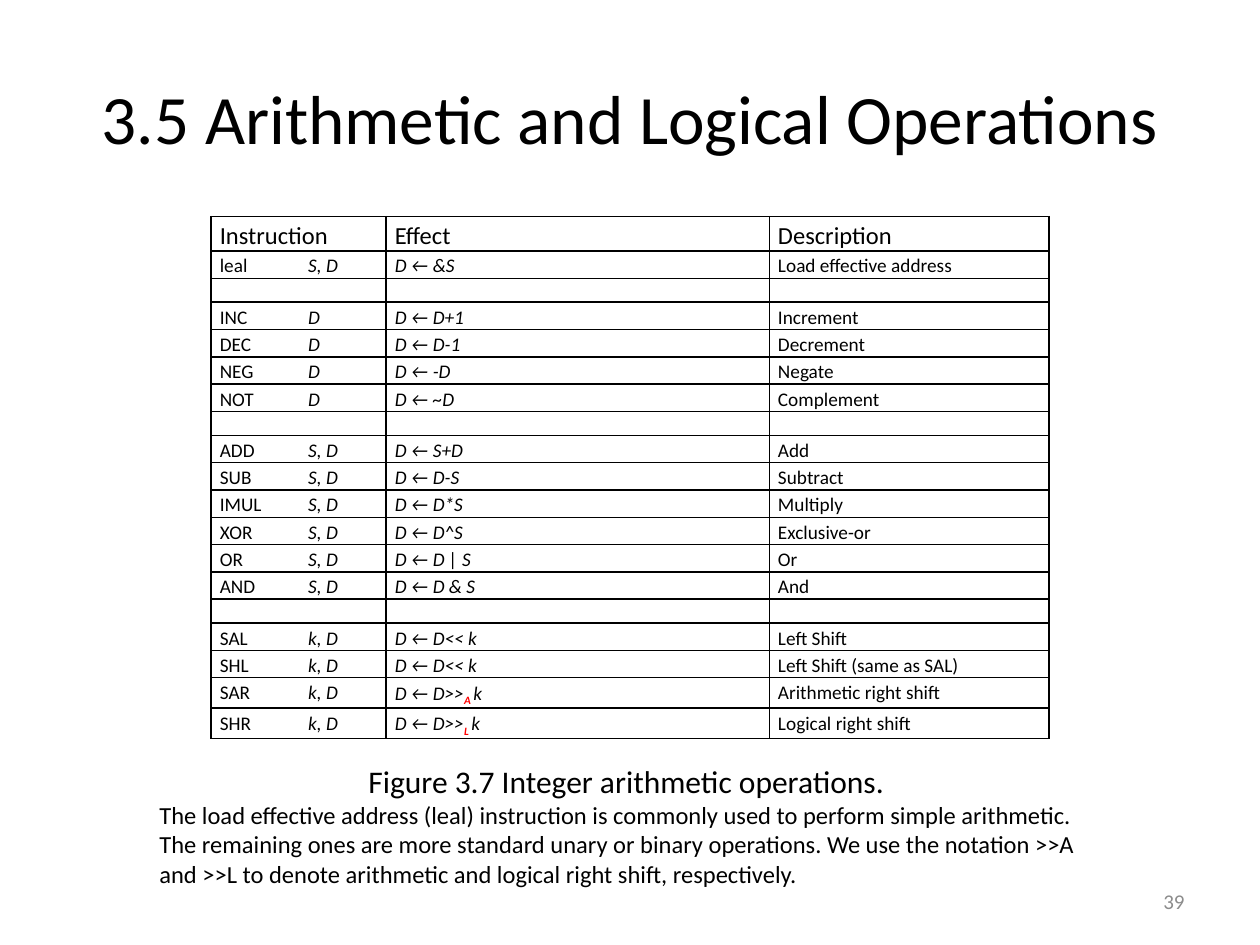
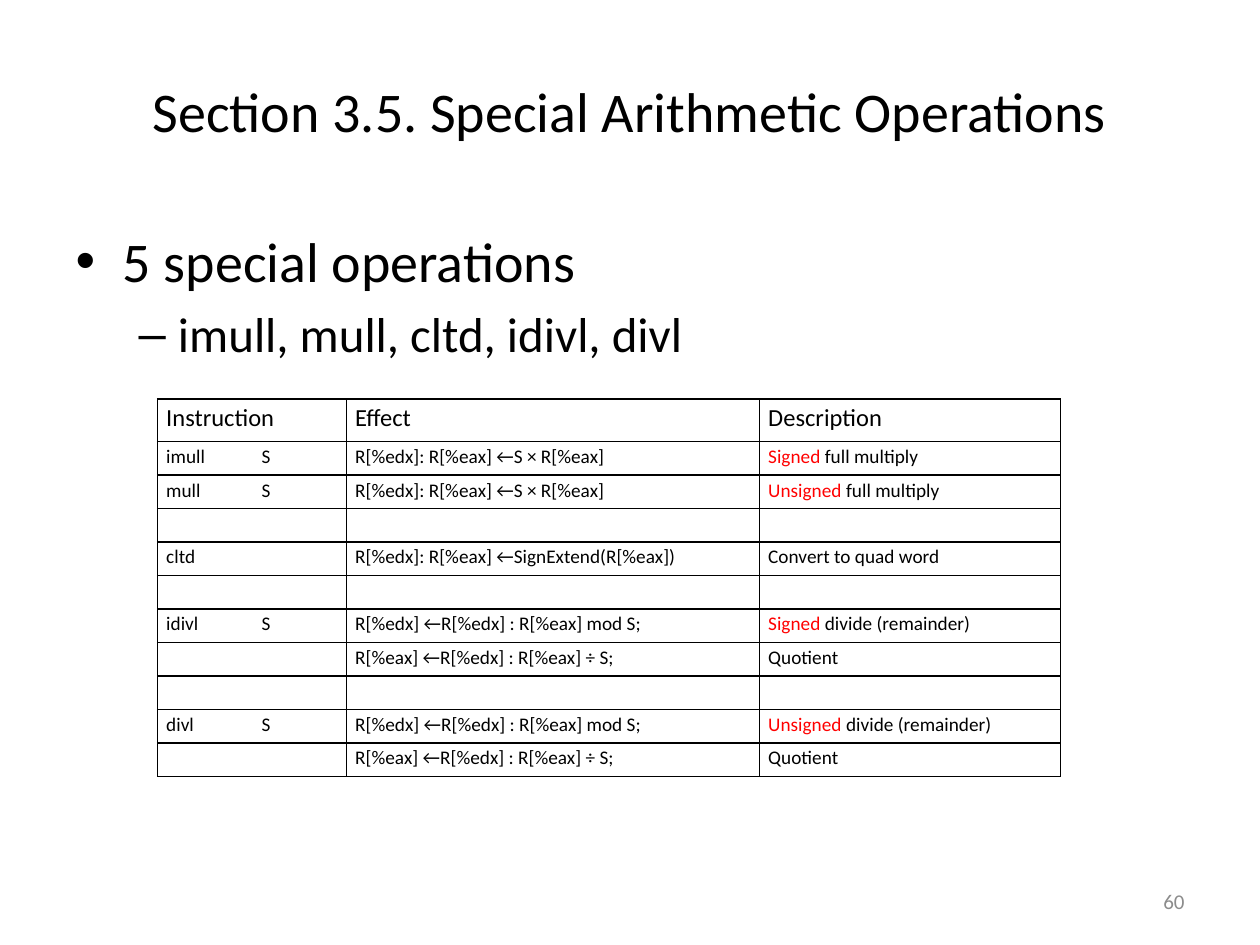
from lxml import etree
from pptx import Presentation
from pptx import util as u
from pptx.dml.color import RGBColor
from pptx.enum import text
from pptx.oxml import ns

FONT = "Calibri"
COLOURS = {"ink": "000000", "alert": "FF0000", "number": "8C8C8C"}
HEADER = ("Instruction", "Effect", "Description")
HEADER_SIZE, CELL_SIZE = 14, 11

# Mnemonic, operands, effect, shift kind (subscript), description
INTEGER_OPERATIONS = [
    ("leal", "S, D", "D ← &S", "", "Load effective address"),
    None,
    ("INC", "D", "D ← D+1", "", "Increment"),
    ("DEC", "D", "D ← D-1", "", "Decrement"),
    ("NEG", "D", "D ← -D", "", "Negate"),
    ("NOT", "D", "D ← ~D", "", "Complement"),
    None,
    ("ADD", "S, D", "D ← S+D", "", "Add"),
    ("SUB", "S, D", "D ← D-S", "", "Subtract"),
    ("IMUL", "S, D", "D ← D*S", "", "Multiply"),
    ("XOR", "S, D", "D ← D^S", "", "Exclusive-or"),
    ("OR", "S, D", "D ← D | S", "", "Or"),
    ("AND", "S, D", "D ← D & S", "", "And"),
    None,
    ("SAL", "k, D", "D ← D<< k", "", "Left Shift"),
    ("SHL", "k, D", "D ← D<< k", "", "Left Shift (same as SAL)"),
    ("SAR", "k, D", "D ← D>>", "A", "Arithmetic right shift"),
    ("SHR", "k, D", "D ← D>>", "L", "Logical right shift"),
]

# Mnemonic, operand, effect, signedness (in red), description
MULTIPLY = "R[%edx]: R[%eax] ←S × R[%eax]"
REMAINDER = "R[%edx] ←R[%edx] : R[%eax] mod S;"
QUOTIENT = ("", "", "R[%eax] ←R[%edx] : R[%eax] ÷ S;", "", "Quotient")
SPECIAL_OPERATIONS = [
    ("imull", "S", MULTIPLY, "Signed", " full multiply"),
    ("mull", "S", MULTIPLY, "Unsigned", " full multiply"),
    None,
    ("cltd", "", "R[%edx]: R[%eax] ←SignExtend(R[%eax])", "",
     "Convert to quad word"),
    None,
    ("idivl", "S", REMAINDER, "Signed", " divide (remainder)"),
    QUOTIENT,
    None,
    ("divl", "S", REMAINDER, "Unsigned", " divide (remainder)"),
    QUOTIENT,
]


# Text
def add_span(para, words, size, colour="ink", italic=False, bold=False,
             subscript=False):
    span = para.add_run()
    span.text = words
    font = span.font
    font.name, font.size = FONT, u.Pt(size)
    font.italic, font.bold = italic, bold
    font.color.rgb = RGBColor.from_string(COLOURS[colour])
    if subscript:
        font._element.set("baseline", "-25000")


def place(shape, left, top, width, height):
    shape.left, shape.top = u.Pt(left), u.Pt(top)
    shape.width, shape.height = u.Pt(width), u.Pt(height)


def add_title(page, words, top, size):
    title = page.shapes.title
    place(title, 36, top, 648, 90)
    title.text_frame.vertical_anchor = text.MSO_ANCHOR.MIDDLE
    para = title.text_frame.paragraphs[0]
    para.alignment = text.PP_ALIGN.CENTER
    add_span(para, words, size)


def add_list(page, items):
    body = page.placeholders[1]
    place(body, 36, 126, 648, 356.4)
    frame = body.text_frame
    for index, (level, words, size) in enumerate(items):
        para = frame.add_paragraph() if index else frame.paragraphs[0]
        para.level = level
        add_span(para, words, size)


def add_text_box(page, left, top, width, height):
    box = page.shapes.add_textbox(u.Pt(left), u.Pt(top), u.Pt(width),
                                  u.Pt(height))
    box.text_frame.word_wrap = True
    return box.text_frame


def add_page_number(page, number):
    frame = add_text_box(page, 516, 500.5, 168, 28.75)
    frame.vertical_anchor = text.MSO_ANCHOR.MIDDLE
    para = frame.paragraphs[0]
    para.alignment = text.PP_ALIGN.RIGHT
    add_span(para, str(number), 12, "number")


def add_caption(page, heading, explanation):
    frame = add_text_box(page, 84, 432, 552, 80)
    para = frame.paragraphs[0]
    para.alignment = text.PP_ALIGN.CENTER
    add_span(para, heading, 18)
    add_span(frame.add_paragraph(), explanation, 14)


# Tables
def outline_cell(cell):
    properties = cell._tc.get_or_add_tcPr()
    for index, side in enumerate(("lnL", "lnR", "lnT", "lnB")):
        line = etree.Element(ns.qn(f"a:{side}"), w=str(u.Pt(1)))
        fill = etree.SubElement(line, ns.qn("a:solidFill"))
        etree.SubElement(fill, ns.qn("a:srgbClr"), val=COLOURS["ink"])
        properties.insert(index, line)


def add_tab_stop(para, position):
    stops = etree.SubElement(para._p.get_or_add_pPr(), ns.qn("a:tabLst"))
    etree.SubElement(stops, ns.qn("a:tab"), pos=str(u.Pt(position)), algn="l")


def fill_cell(cell, spans, size, tab):
    cell.margin_left = cell.margin_right = u.Pt(5)
    cell.margin_top = cell.margin_bottom = 0
    cell.fill.background()
    outline_cell(cell)
    para = cell.text_frame.paragraphs[0]
    if not spans:
        # An empty cell takes its line height from the end mark
        etree.SubElement(para._p, ns.qn("a:endParaRPr"), sz=str(size * 100))
        return
    para.line_spacing = 1.15
    if any(words.startswith("\t") for words, _ in spans):
        add_tab_stop(para, tab)
    for words, style in spans:
        add_span(para, words, size, **style)


def add_grid(page, left, top, widths, heights, rows, tab):
    """Each row holds three cells, each cell a list of (words, style)."""
    frame = page.shapes.add_table(len(rows), len(widths), u.Pt(left),
                                  u.Pt(top), u.Pt(sum(widths)),
                                  u.Pt(sum(heights)))
    table = frame.table
    table.first_row = table.horz_banding = False
    for column, width in zip(table.columns, widths):
        column.width = u.Pt(width)
    for index, (cells, height) in enumerate(zip(rows, heights)):
        table.rows[index].height = u.Pt(height)
        size = CELL_SIZE if index else HEADER_SIZE
        for cell, spans in zip(table.rows[index].cells, cells):
            fill_cell(cell, spans, size, tab)


def header_row():
    return [[(words, {})] for words in HEADER]


def instruction_cell(mnemonic, operands, style):
    spans = [(mnemonic, {})] if mnemonic else []
    return spans + ([("\t" + operands, style)] if operands else [])


def integer_row(operation):
    if operation is None:
        return [[], [], []]
    mnemonic, operands, effect, kind, description = operation
    italic = {"italic": True}
    effect_spans = [(effect, italic)]
    if kind:
        mark = dict(italic, colour="alert", bold=True, subscript=True)
        effect_spans += [(kind + " ", mark), ("k", italic)]
    return [instruction_cell(mnemonic, operands, italic), effect_spans,
            [(description, {})]]


def special_row(operation):
    if operation is None:
        return [[], [], []]
    mnemonic, operand, effect, sign, description = operation
    sign_spans = [(sign, {"colour": "alert"})] if sign else []
    return [instruction_cell(mnemonic, operand, {}), [(effect, {})],
            sign_spans + [(description, {})]]


def integer_height(operation):
    if operation is None:
        return 13.4
    return 17.2 if operation[3] else 15.6


# Slides
def build_integer_page(deck):
    page = deck.slides.add_slide(deck.slide_layouts[5])
    add_title(page, "3.5 Arithmetic and Logical Operations", 21.6, 39.6)
    rows = [header_row()] + [integer_row(op) for op in INTEGER_OPERATIONS]
    heights = [19.6] + [integer_height(op) for op in INTEGER_OPERATIONS]
    add_grid(page, 120.6, 123.8, (100, 219, 160), heights, rows, tab=50.5)
    add_caption(
        page, "Figure 3.7 Integer arithmetic operations. ",
        "The load effective address (leal) instruction is commonly used to "
        "perform simple arithmetic. The remaining ones are more standard "
        "unary or binary operations. We use the notation >>A and >>L to "
        "denote arithmetic and logical right shift, respectively.")
    add_page_number(page, 39)


def build_special_page(deck):
    page = deck.slides.add_slide(deck.slide_layouts[1])
    add_title(page, "Section 3.5. Special Arithmetic Operations", 18, 32)
    add_list(page, [(0, "5 special operations", 32),
                    (1, "imull, mull, cltd, idivl, divl", 28)])
    rows = [header_row()] + [special_row(op) for op in SPECIAL_OPERATIONS]
    heights = [24.3] + [19.15] * len(SPECIAL_OPERATIONS)
    add_grid(page, 90, 228, (108, 236, 172), heights, rows, tab=54.5)
    add_page_number(page, 60)


def main():
    deck = Presentation()
    deck.slide_width, deck.slide_height = u.Pt(720), u.Pt(540)
    build_integer_page(deck)
    build_special_page(deck)
    deck.save("out.pptx")


main()
